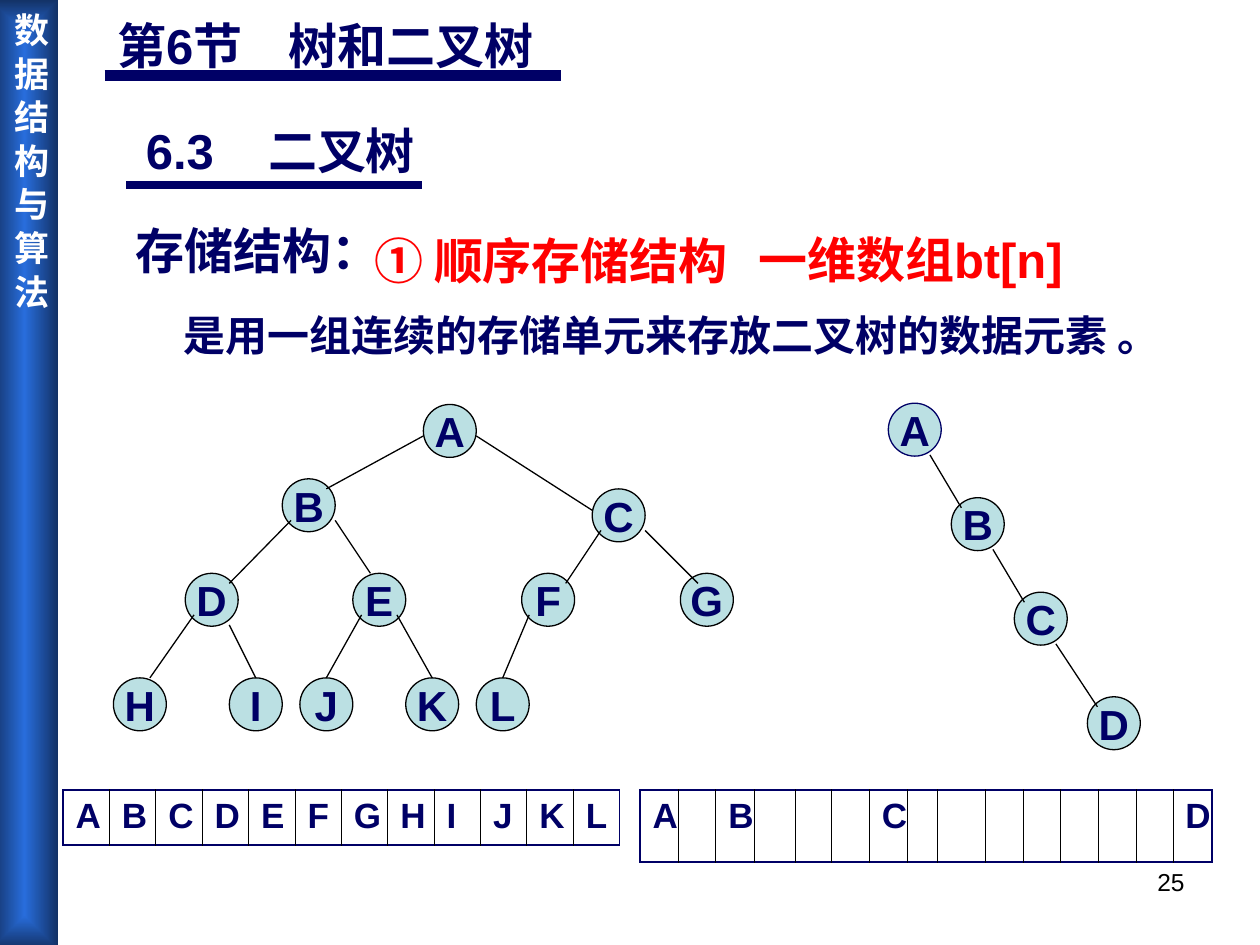
from dataclasses import dataclass

from pptx import Presentation
from pptx.dml.color import RGBColor
from pptx.enum.shapes import MSO_CONNECTOR, MSO_SHAPE
from pptx.enum.text import MSO_ANCHOR, MSO_AUTO_SIZE, PP_ALIGN
from pptx.oxml import parse_xml
from pptx.oxml.ns import nsdecls, qn
from pptx.oxml.xmlchemy import OxmlElement
from pptx.util import Inches, Pt

COLORS = {"navy": "000066", "red": "FF0000", "black": "000000", "white": "FFFFFF",
          "node": "BBE0E3", "bar_light": "286DDC", "bar_dark": "133266"}
LATIN_FONT, CJK_FONT = "Arial", "Noto Sans CJK SC"
NODE_SIZE = 0.42


@dataclass
class Label:
    text: str
    box: tuple[float, float, float, float]
    size: int = 28
    color: str = "navy"
    bold: bool = True
    wrap: bool = True
    align: PP_ALIGN = PP_ALIGN.LEFT
    tab: float = 0


@dataclass
class Node:
    name: str
    left: float
    top: float
    outline: str = "black"


@dataclass
class Line:
    x1: float
    y1: float
    x2: float
    y2: float


@dataclass
class StorageArray:
    values: list[str]
    left: float
    widths: list[float]
    height: float


def rgb(name: str) -> RGBColor:
    return RGBColor.from_string(COLORS[name])


def write(frame, text: str, size: int, color: str, bold: bool = True,
          align: PP_ALIGN = PP_ALIGN.LEFT, tab: float = 0, latin: str = LATIN_FONT) -> None:
    paragraph = frame.paragraphs[0]
    paragraph.alignment = align
    if tab:
        tab_list = OxmlElement("a:tabLst")
        stop = OxmlElement("a:tab")
        stop.set("pos", str(Inches(tab)))
        stop.set("algn", "l")
        tab_list.append(stop)
        paragraph._p.get_or_add_pPr().append(tab_list)
    run = paragraph.add_run()
    run.text = text
    for attribute, value in {"size": Pt(size), "bold": bold, "name": latin}.items():
        setattr(run.font, attribute, value)
    run.font.color.rgb = rgb(color)
    east_asian = OxmlElement("a:ea")
    east_asian.set("typeface", CJK_FONT)
    run._r.get_or_add_rPr().append(east_asian)


def fill_label(shape, label: Label) -> None:
    frame_format = {"word_wrap": label.wrap, "auto_size": MSO_AUTO_SIZE.SHAPE_TO_FIT_TEXT,
                    "vertical_anchor": MSO_ANCHOR.TOP}
    for attribute, value in frame_format.items():
        setattr(shape.text_frame, attribute, value)
    write(shape.text_frame, label.text, label.size, label.color, label.bold,
          label.align, label.tab)


def draw_line(shapes, line: Line, color: str = "black", width: float = 0.75) -> None:
    ends = (Inches(v) for v in (line.x1, line.y1, line.x2, line.y2))
    connector = shapes.add_connector(MSO_CONNECTOR.STRAIGHT, *ends)
    connector.line.color.rgb = rgb(color)
    connector.line.width = Pt(width)
    connector._element.spPr.append(OxmlElement("a:effectLst"))


def draw_node(shapes, node: Node) -> None:
    circle = shapes.add_shape(MSO_SHAPE.OVAL, Inches(node.left), Inches(node.top),
                              Inches(NODE_SIZE), Inches(NODE_SIZE))
    circle.shadow.inherit = False
    circle.fill.solid()
    circle.fill.fore_color.rgb = rgb("node")
    circle.line.color.rgb = rgb(node.outline)
    circle.line.width = Pt(0.75)
    circle.text_frame.word_wrap = False
    circle.text_frame.vertical_anchor = MSO_ANCHOR.MIDDLE
    write(circle.text_frame, node.name, 24, "navy", align=PP_ALIGN.CENTER)


def draw_tree(slide, nodes: list[Node], edges: list[Line]) -> None:
    tree = slide.shapes.add_group_shape()
    for node in nodes:
        draw_node(tree.shapes, node)
    for edge in edges:
        draw_line(tree.shapes, edge)


def draw_border(cell, side: str, outer: bool) -> None:
    color, width = ("navy", 1.08) if outer else ("black", 0.45)
    cell._tc.get_or_add_tcPr().append(parse_xml(
        f'<a:ln{side} {nsdecls("a")} w="{Pt(width)}"><a:solidFill>'
        f'<a:srgbClr val="{COLORS[color]}"/></a:solidFill></a:ln{side}>'))


def draw_array(slide, array: StorageArray) -> None:
    count = len(array.values)
    table = slide.shapes.add_table(1, count, Inches(array.left), Inches(6.27),
                                   Inches(sum(array.widths)), Inches(array.height)).table
    table.first_row = table.horz_banding = False
    for index, (value, width) in enumerate(zip(array.values, array.widths)):
        table.columns[index].width = Inches(width)
        cell = table.cell(0, index)
        outer_sides = {"L": index == 0, "R": index == count - 1, "T": True, "B": True}
        for side, outer in outer_sides.items():
            draw_border(cell, side, outer)
        cell.fill.background()
        if value:
            write(cell.text_frame, value, 20, "navy")


def draw_sidebar(slide) -> None:
    sidebar = slide.shapes.add_shape(MSO_SHAPE.RECTANGLE, Inches(-0.07), 0,
                                     Inches(0.53), Inches(7.53))
    sidebar.shadow.inherit = False
    sidebar.line.fill.background()
    sidebar.fill.background()
    properties = sidebar._element.spPr
    properties.replace(properties.find(qn("a:noFill")), parse_xml(
        f'<a:gradFill {nsdecls("a")} rotWithShape="1"><a:gsLst>'
        f'<a:gs pos="0"><a:srgbClr val="{COLORS["bar_light"]}"/></a:gs>'
        f'<a:gs pos="100000"><a:srgbClr val="{COLORS["bar_dark"]}"/></a:gs></a:gsLst>'
        '<a:path path="rect"><a:fillToRect l="50000" t="50000" r="50000" b="50000"/>'
        '</a:path></a:gradFill>'))
    frame = sidebar.text_frame
    frame_format = {"margin_left": Inches(0.05), "margin_right": Inches(0.05),
                    "margin_top": Inches(0.1), "margin_bottom": Inches(0.1),
                    "word_wrap": True, "vertical_anchor": MSO_ANCHOR.TOP}
    for attribute, value in frame_format.items():
        setattr(frame, attribute, value)
    sidebar._element.txBody.bodyPr.set("vert", "eaVert")
    write(frame, "数 据 结 构 与 算 法", 20, "white", align=PP_ALIGN.CENTER, latin=CJK_FONT)


TITLE = Label("第6节\t树和二叉树", (0.83, 0.07, 3.7, 1.04), tab=1.36)
LABELS = [
    Label("25", (7.17, 6.83, 2.33, 0.52), 14, "black", False, align=PP_ALIGN.RIGHT),
    Label("6.3\t二叉树", (1.06, 0.91, 2.36, 0.57), tab=0.97),
    Label("存储结构：", (0.98, 1.7, 2.36, 0.57)),
    Label("① 顺序存储结构", (2.87, 1.78, 3.31, 0.57), color="red"),
    Label("是用一组连续的存储单元来存放二叉树的数据元素 。", (1.36, 2.41, 8.03, 0.5), 24,
          wrap=False),
    Label("一维数组bt[n]", (5.92, 1.77, 2.71, 0.57), color="red", wrap=False),
]

# Complete binary tree
FULL_NODES = [Node("A", 3.36, 3.21), Node("B", 2.24, 3.8), Node("C", 4.7, 3.88)]
FULL_NODES += [Node(n, x, 4.55) for n, x in zip("DEFG", (1.47, 2.8, 4.14, 5.4))]
FULL_NODES += [Node(n, x, 5.38) for n, x in zip("HIJKL", (0.9, 1.82, 2.38, 3.22, 3.78))]
FULL_EDGES = [
    Line(3.36, 3.46, 2.59, 3.88), Line(3.78, 3.46, 4.7, 4.05),
    Line(2.31, 4.13, 1.82, 4.63), Line(2.66, 4.13, 2.94, 4.55),
    Line(4.77, 4.21, 4.49, 4.63), Line(5.12, 4.21, 5.54, 4.63),
    Line(1.54, 4.88, 1.19, 5.38), Line(1.82, 4.96, 2.03, 5.38),
    Line(2.87, 4.88, 2.59, 5.38), Line(3.15, 4.88, 3.43, 5.38),
    Line(4.2, 4.88, 3.99, 5.38),
]

# Right-leaning tree: each edge runs between neighbouring nodes
CHAIN_NODES = [Node("A", 7.05, 3.2, "navy"), Node("B", 7.55, 3.95),
               Node("C", 8.05, 4.7), Node("D", 8.63, 5.53)]
CHAIN_EDGES = [Line(parent.left + 0.33, parent.top + 0.41, child.left + 0.08, child.top + 0.08)
               for parent, child in zip(CHAIN_NODES, CHAIN_NODES[1:])]

# Sequential storage: the chain's nodes sit at positions 1, 3, 7 and 15
ARRAYS = [
    StorageArray(list("ABCDEFGHIJKL"), 0.5, [4.42 / 12] * 12, 0.43),
    StorageArray([{0: "A", 2: "B", 6: "C", 14: "D"}.get(i, "") for i in range(15)], 5.08,
                 [0.3, 0.3, 0.31, 0.32, 0.29, 0.3, 0.3, 0.24, 0.38, 0.3, 0.3, 0.3, 0.3,
                  0.29, 0.31], 0.57),
]


def main() -> None:
    deck = Presentation()
    deck.slide_width, deck.slide_height = Inches(10), Inches(7.5)
    slide = deck.slides.add_slide(deck.slide_layouts[5])

    # Headings and text
    title = slide.shapes.title
    for side, value in zip(("left", "top", "width", "height"), TITLE.box):
        setattr(title, side, Inches(value))
    fill_label(title, TITLE)
    for label in LABELS:
        fill_label(slide.shapes.add_textbox(*map(Inches, label.box)), label)
    draw_line(slide.shapes, Line(1, 1.47, 3.35, 1.47), "navy", 4.25)
    draw_line(slide.shapes, Line(0.83, 0.6, 4.45, 0.6), "navy", 6)

    # Trees with their arrays
    draw_tree(slide, FULL_NODES, FULL_EDGES)
    draw_tree(slide, CHAIN_NODES, CHAIN_EDGES)
    for array in ARRAYS:
        draw_array(slide, array)

    draw_sidebar(slide)
    deck.save("out.pptx")


if __name__ == "__main__":
    main()
